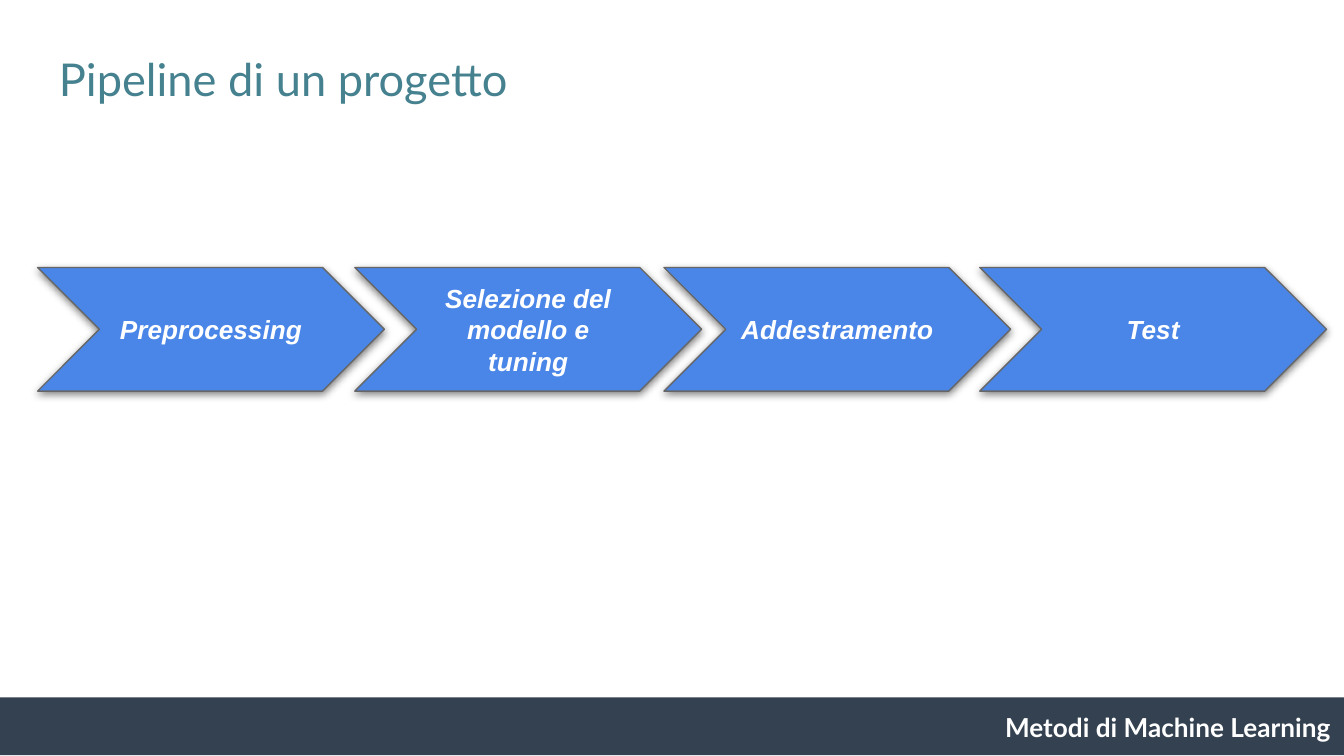
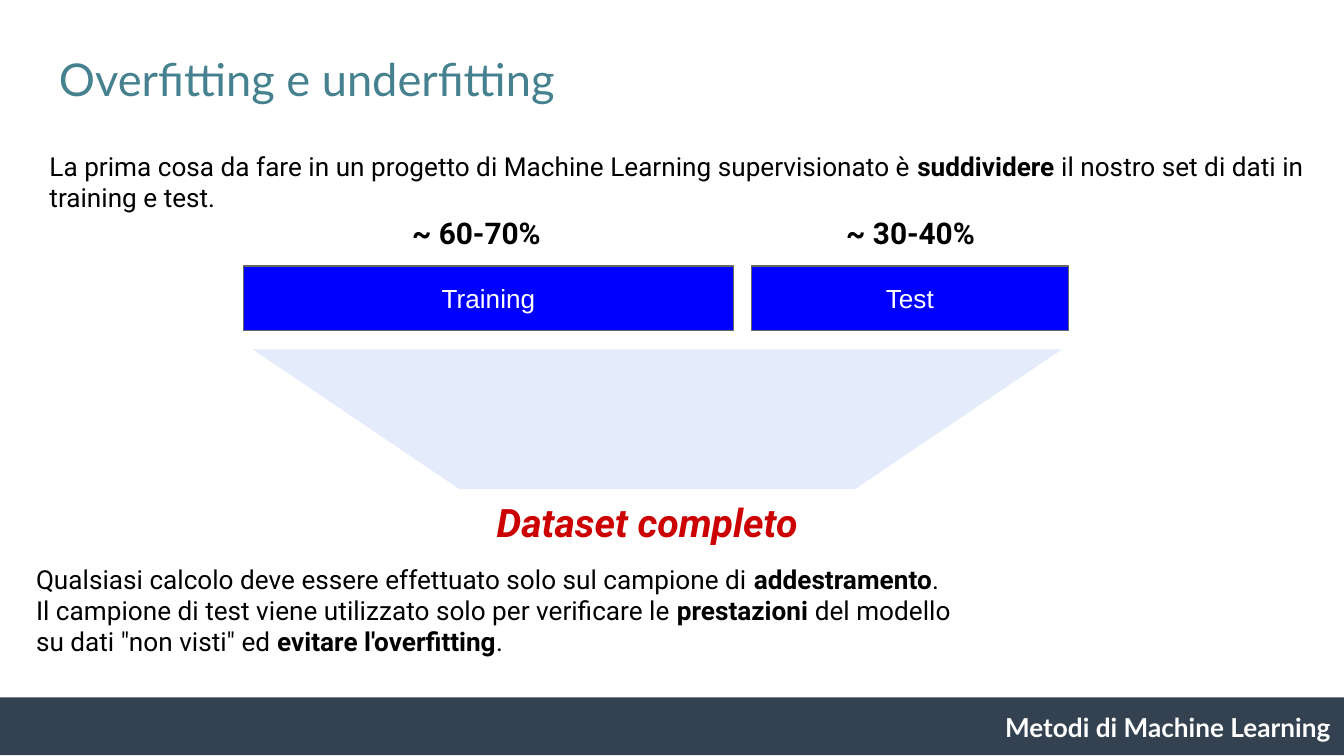
from lxml import etree
from pptx import Presentation
from pptx.dml.color import RGBColor
from pptx.enum.shapes import MSO_SHAPE
from pptx.enum.text import MSO_ANCHOR, PP_ALIGN
from pptx.oxml.ns import qn
from pptx.util import Inches, Pt

RECTANGLE, CHEVRON, TRAPEZOID = MSO_SHAPE.RECTANGLE, MSO_SHAPE.CHEVRON, MSO_SHAPE.TRAPEZOID
LEFT, CENTER, RIGHT = PP_ALIGN.LEFT, PP_ALIGN.CENTER, PP_ALIGN.RIGHT
TOP, MIDDLE = MSO_ANCHOR.TOP, MSO_ANCHOR.MIDDLE

TEAL = RGBColor(0x45, 0x81, 0x8E)
SLATE = RGBColor(0x33, 0x41, 0x50)
SKY = RGBColor(0x4A, 0x86, 0xE8)
BLUE = RGBColor(0x00, 0x00, 0xFF)
GREY = RGBColor(0x66, 0x66, 0x66)
RED = RGBColor(0xCC, 0x00, 0x00)
BLACK = RGBColor(0x00, 0x00, 0x00)
WHITE = RGBColor(0xFF, 0xFF, 0xFF)


def add_text(page, area, runs, font, size, color, align=LEFT, anchor=TOP, italic=False, shape=None):
    """Write (text, bold) runs into the shape, or into a new text box at area."""
    box = shape or page.shapes.add_textbox(*map(Inches, area))
    frame = box.text_frame
    frame.word_wrap = True
    frame.vertical_anchor = anchor
    frame.margin_left = frame.margin_right = frame.margin_top = frame.margin_bottom = Inches(0.1)
    para = frame.paragraphs[0]
    para.alignment = align
    for text, bold in runs:
        span = para.add_run()
        span.text = text
        span.font.name = font
        span.font.size = Pt(size)
        span.font.color.rgb = color
        span.font.bold = bold
        span.font.italic = italic


def add_block(page, kind, area, fill, outlined=True):
    block = page.shapes.add_shape(kind, *map(Inches, area))
    block.shadow.inherit = False
    block.fill.solid()
    block.fill.fore_color.rgb = fill
    if outlined:
        block.line.color.rgb = GREY
        block.line.width = Pt(0.75)
    else:
        block.line.fill.background()
    return block


deck = Presentation()
deck.slide_width = Inches(10)
deck.slide_height = Inches(5.625)

# Title and footer band shared by both slides
pages = []
for title in ("Pipeline di un progetto", "Overfitting e underfitting"):
    page = deck.slides.add_slide(deck.slide_layouts[6])
    add_text(page, (0.34, 0.28, 9.32, 0.63), [(title, False)], "Lato", 24.2, TEAL)
    add_block(page, RECTANGLE, (-0.02, 5.19, 10.02, 0.43), SLATE, outlined=False)
    add_text(page, (7.33, 5.19, 2.67, 0.91), [("Metodi di Machine Learning", True)],
             "Lato", 14, WHITE, RIGHT)
    pages.append(page)
pipeline, overfitting = pages

# Slide 1: the four steps
steps = [
    (0.28, "Preprocessing"),
    (4.94, "Addestramento"),
    (2.64, "Selezione del modello e tuning"),
    (7.29, "Test"),
]
for left, step in steps:
    chevron = add_block(pipeline, CHEVRON, (left, 1.99, 2.58, 0.92), SKY)
    effects = chevron.element.spPr.find(qn("a:effectLst"))
    shadow = etree.SubElement(effects, qn("a:outerShdw"), blurRad=str(Pt(4.5)),
                              dist=str(Pt(1.5)), dir="5400000", algn="bl", rotWithShape="0")
    shade = etree.SubElement(shadow, qn("a:srgbClr"), val=str(BLACK))
    etree.SubElement(shade, qn("a:alpha"), val="50000")
    add_text(pipeline, None, [(step, True)], "Arial", 14, WHITE, CENTER, MIDDLE,
             italic=True, shape=chevron)

# Slide 2: the dataset opening into training and test
funnel = add_block(overfitting, TRAPEZOID, (1.88, 2.6, 6.02, 1.04), SKY, outlined=False)
funnel.rotation = 180
funnel.adjustments[0] = 1.48
tint = funnel.element.spPr.find(qn("a:solidFill")).find(qn("a:srgbClr"))
etree.SubElement(tint, qn("a:alpha"), val="15000")
add_text(overfitting, (3.22, 3.61, 3.19, 0.4), [("Dataset completo", True)],
         "Roboto", 21, RED, CENTER, italic=True)

parts = [
    ("Training", 1.81, 3.65, "~ 60-70%", 2.92),
    ("Test", 5.59, 2.36, "~ 30-40%", 6.15),
]
for name, left, width, share, share_left in parts:
    bar = add_block(overfitting, RECTANGLE, (left, 1.98, width, 0.48), BLUE)
    add_text(overfitting, None, [(name, False)], "Arial", 14, WHITE, CENTER, MIDDLE, shape=bar)
    add_text(overfitting, (share_left, 1.5, 1.25, 0.34), [(share, True)],
             "Roboto", 16, BLACK, CENTER)

advice = [
    ("Qualsiasi calcolo deve essere effettuato solo sul campione di ", False),
    ("addestramento", True),
    (". Il campione di test viene utilizzato solo per verificare le ", False),
    ("prestazioni ", True),
    ("del modello su dati \"non visti\" ed ", False),
    ("evitare l'overfitting", True),
    (".", False),
]
add_text(overfitting, (0.17, 4.09, 7.03, 0.74), advice, "Roboto", 14, BLACK)

intro = [
    ("La prima cosa da fare in un progetto di Machine Learning supervisionato è ", False),
    ("suddividere ", True),
    ("il nostro set di dati in training e test.", False),
]
add_text(overfitting, (0.27, 1.02, 9.66, 0.74), intro, "Roboto", 14, BLACK)

deck.save("out.pptx")
